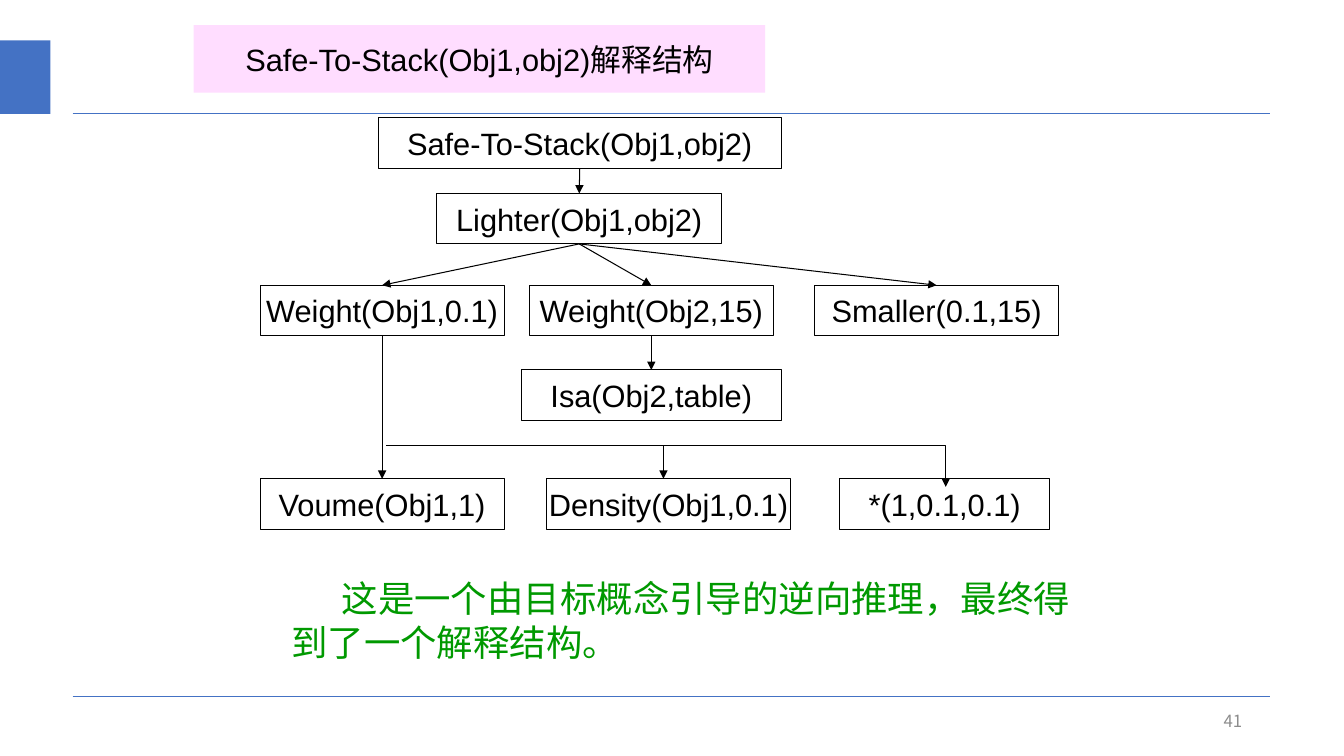
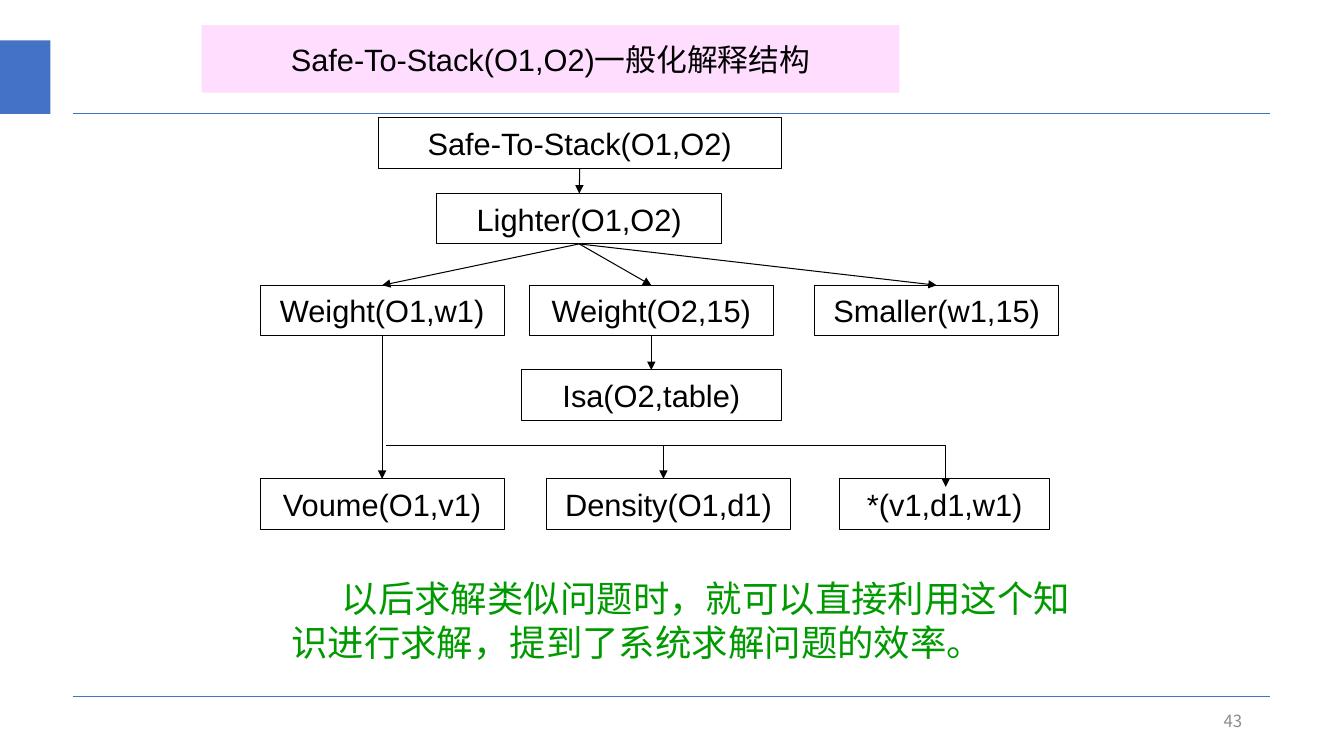
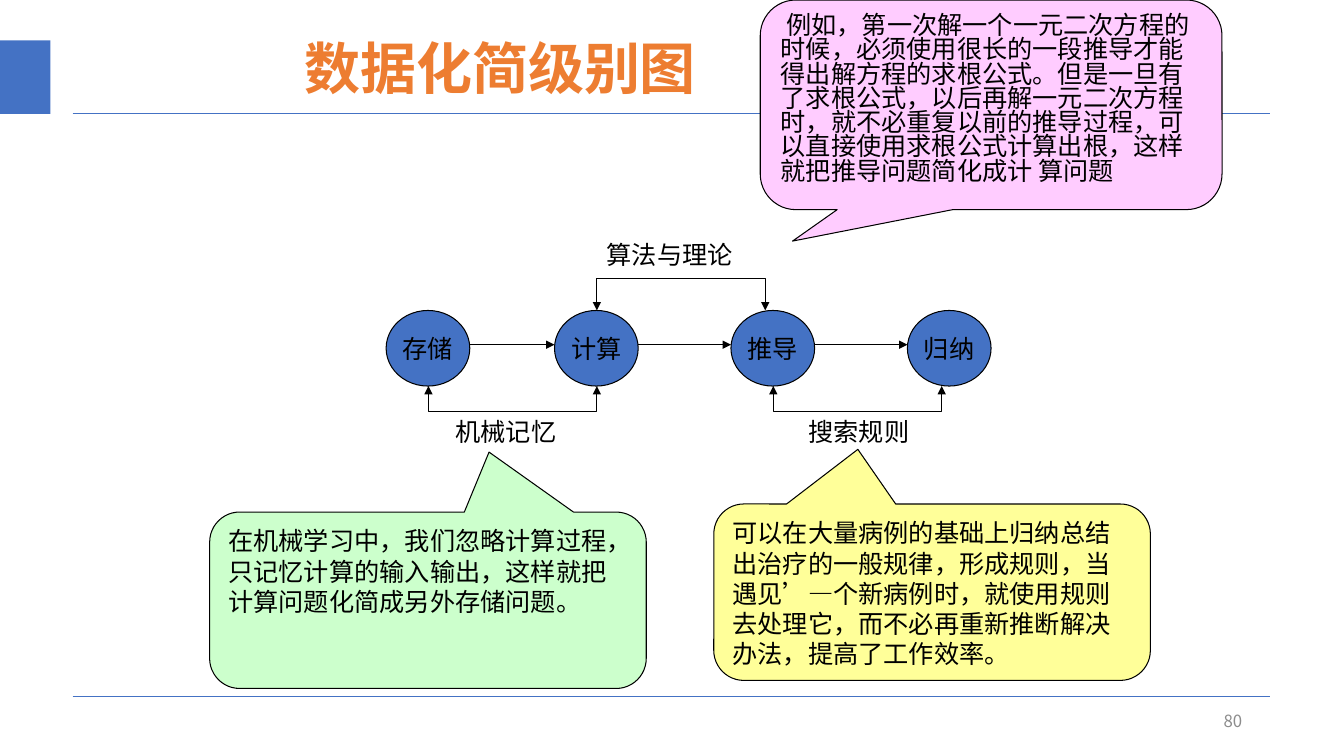
from itertools import pairwise

from lxml.etree import SubElement
from pptx import Presentation
from pptx.dml.color import RGBColor
from pptx.enum.shapes import MSO_CONNECTOR as Connector, MSO_SHAPE as Shape
from pptx.enum.text import MSO_ANCHOR as Anchor, PP_ALIGN as Align
from pptx.oxml.ns import qn
from pptx.util import Inches, Pt

BLUE, BLACK, GREY = "4472C4", "000000", "8C8C8C"
GREEN, ORANGE, PALE_PINK = "009900", "ED7D31", "FFDDFF"
LATIN, CHINESE = "Arial", "Noto Sans CJK SC"

# Text styles: font, frame and paragraph attributes, with the colour apart.
STYLES = {
    "node": {
        "color": BLACK,
        "font": {"name": LATIN, "size": Pt(22)},
        "frame": {"word_wrap": False, "vertical_anchor": Anchor.MIDDLE},
        "paragraph": {"alignment": Align.CENTER},
    },
    "remark": {
        "color": GREEN,
        "font": {"name": LATIN, "size": Pt(26)},
        "frame": {"word_wrap": True},
        "paragraph": {"alignment": Align.LEFT},
    },
    "title": {
        "color": ORANGE,
        "font": {"name": CHINESE, "size": Pt(40), "bold": True},
        "frame": {"word_wrap": True, "vertical_anchor": Anchor.MIDDLE},
        "paragraph": {"alignment": Align.CENTER, "line_spacing": 0.9},
    },
    "circle": {
        "color": BLACK,
        "font": {"name": CHINESE, "size": Pt(18)},
        "frame": {"word_wrap": False, "vertical_anchor": Anchor.MIDDLE},
        "paragraph": {"alignment": Align.CENTER},
    },
    "body": {
        "color": BLACK,
        "font": {"name": CHINESE, "size": Pt(18)},
        "frame": {"word_wrap": True, "vertical_anchor": Anchor.TOP},
        "paragraph": {"alignment": Align.LEFT},
    },
    "number": {
        "color": GREY,
        "font": {"name": CHINESE, "size": Pt(12)},
        "frame": {"word_wrap": True, "vertical_anchor": Anchor.MIDDLE},
        "paragraph": {"alignment": Align.RIGHT},
    },
}

# Explanation tree: left, top and width of each node.
NODE_HEIGHT = 0.5
NODES = {
    "goal": (3.75, 1.17, 4),
    "lighter": (4.33, 1.92, 2.83),
    "weight1": (2.58, 2.83, 2.42),
    "weight2": (5.25, 2.83, 2.42),
    "smaller": (8.08, 2.83, 2.42),
    "isa": (5.17, 3.67, 2.58),
    "volume": (2.58, 4.75, 2.42),
    "density": (5.42, 4.75, 2.42),
    "product": (8.33, 4.75, 2.08),
}
TREE_ARROWS = [
    ("goal", "lighter"),
    ("lighter", "weight1"),
    ("lighter", "weight2"),
    ("lighter", "smaller"),
    ("weight2", "isa"),
    ("weight1", "volume"),
]
TOP_SITE, BOTTOM_SITE = 0, 2

CIRCLE_NAMES = ["存储", "计算", "推导", "归纳"]
CIRCLE_LEFTS = [3.83, 5.5, 7.25, 9]
CIRCLE_TOP, CIRCLE_WIDTH, CIRCLE_HEIGHT = 3.08, 0.83, 0.75


def rgb(color):
    return RGBColor.from_string(color)


def set_attributes(target, values):
    for name, value in values.items():
        setattr(target, name, value)


def write(shape, text, style_name):
    style = STYLES[style_name]
    frame = shape.text_frame
    set_attributes(frame, style["frame"])
    paragraph = frame.paragraphs[0]
    set_attributes(paragraph, style["paragraph"])
    run = paragraph.add_run()
    run.text = text
    set_attributes(run.font, style["font"])
    run.font.color.rgb = rgb(style["color"])
    SubElement(run.font._element, qn("a:ea"), typeface=CHINESE)
    return paragraph


def add_text(slide, box, text, style_name):
    shape = slide.shapes.add_textbox(*map(Inches, box))
    return write(shape, text, style_name)


def paint(shape, fill=None, line=None):
    shape.shadow.inherit = False
    if fill:
        shape.fill.solid()
        shape.fill.fore_color.rgb = rgb(fill)
    else:
        shape.fill.background()
    if line:
        shape.line.color.rgb = rgb(line)
        shape.line.width = Pt(0.75)
    else:
        shape.line.fill.background()


def add_box(slide, kind, box, fill=None, line=None):
    shape = slide.shapes.add_shape(kind, *map(Inches, box))
    paint(shape, fill, line)
    return shape


def add_arrowheads(shape, ends):
    line = shape.element.find(".//" + qn("a:ln"))
    for end in ends:
        SubElement(line, qn(f"a:{end}End"), type="triangle")


def add_line(slide, start, end, color=BLACK, width=0.75, ends=()):
    connector = slide.shapes.add_connector(
        Connector.STRAIGHT, *map(Inches, (*start, *end)))
    connector.line.color.rgb = rgb(color)
    connector.line.width = Pt(width)
    SubElement(connector.element.spPr, qn("a:effectLst"))
    add_arrowheads(connector, ends)
    return connector


def add_bent_line(slide, points, ends):
    """Draw an open line through the points with arrowheads at the ends."""
    start, *others = [tuple(map(Inches, point)) for point in points]
    builder = slide.shapes.build_freeform(*start)
    builder.add_line_segments(others, close=False)
    shape = builder.convert_to_shape()
    paint(shape, line=BLACK)
    add_arrowheads(shape, ends)


def add_callout(slide, box, fill, pointer, text):
    """Pointer is the tip's offset from the centre, in widths and heights."""
    shape = add_box(slide, Shape.ROUNDED_RECTANGULAR_CALLOUT, box, fill, BLACK)
    for index, value in enumerate((*pointer, 0.17)):
        shape.adjustments[index] = value
    return write(shape, text, "body")


def add_base_slide(presentation, number):
    """Add a slide with the shared rules, blue band and page number."""
    slide = presentation.slides.add_slide(presentation.slide_layouts[6])
    for y in (6.91, 1.12):
        add_line(slide, (0.72, y), (12.6, y), BLUE, 0.5)
    add_box(slide, Shape.RECTANGLE, (0, 0.4, 0.5, 0.73), BLUE)
    add_text(slide, (9.42, 6.95, 3, 0.4), str(number), "number")
    return slide


def add_tree(slide, labels):
    nodes = {}
    for (name, (left, top, width)), label in zip(NODES.items(), labels):
        box = (left, top, width, NODE_HEIGHT)
        nodes[name] = add_box(slide, Shape.RECTANGLE, box, line=BLACK)
        write(nodes[name], label, "node")
    for parent, child in TREE_ARROWS:
        arrow = add_line(slide, (0, 0), (1, 1), ends=["tail"])
        arrow.begin_connect(nodes[parent], BOTTOM_SITE)
        arrow.end_connect(nodes[child], TOP_SITE)
    rail = 4.42
    add_bent_line(slide, [(9.38, 4.83), (9.38, rail), (3.83, rail)], ["head"])
    add_line(slide, (6.58, rail), (6.58, 4.75), ends=["tail"])


def add_tree_slide(presentation, number, title, title_span, labels, remark):
    slide = add_base_slide(presentation, number)
    add_tree(slide, labels)
    left, width = title_span
    band = add_box(slide, Shape.RECTANGLE, (left, 0.25, width, 0.67), PALE_PINK)
    write(band, title, "node")
    paragraph = add_text(slide, (2.17, 5.67, 8.83, 0.97), remark, "remark")
    properties = paragraph._p.get_or_add_pPr()
    properties.set("marL", str(Inches(0.62)))
    properties.set("indent", str(Inches(0.5)))


def add_circle_chain(slide):
    for left, name in zip(CIRCLE_LEFTS, CIRCLE_NAMES):
        box = (left, CIRCLE_TOP, CIRCLE_WIDTH, CIRCLE_HEIGHT)
        write(add_box(slide, Shape.OVAL, box, BLUE, BLACK), name, "circle")
    for left, next_left in pairwise(CIRCLE_LEFTS):
        add_line(slide, (left + CIRCLE_WIDTH, 3.42), (next_left, 3.42),
                 ends=["tail"])

    bottom = CIRCLE_TOP + CIRCLE_HEIGHT
    brackets = [
        (4.25, bottom, 4.08, "机械记忆", (4.42, 4.08, 1.42, 0.4)),
        (7.67, bottom, 4.08, "搜索规则", (7.92, 4.08, 1.42, 0.4)),
        (5.92, CIRCLE_TOP, 2.76, "算法与理论", (5.92, 2.33, 1.67, 0.4)),
    ]
    for left, edge, rail, label, box in brackets:
        right = left + 1.67
        points = [(left, edge), (left, rail), (right, rail), (right, edge)]
        add_bent_line(slide, points, ["head", "tail"])
        add_text(slide, box, label, "body")


def add_levels_slide(presentation):
    slide = add_base_slide(presentation, 80)
    add_circle_chain(slide)
    add_callout(
        slide, (7.08, 5, 4.33, 1.75), "FFFF99", (-0.17, -0.81),
        "可以在大量病例的基础上归纳总结出治疗的一般规律，形成规则，"
        "当遇见’—个新病例时，就使用规则去处理它，而不必再重新推断解决办法，"
        "提高了工作效率。")
    add_callout(
        slide, (2.08, 5.08, 4.33, 1.75), "CCFFCC", (0.14, -0.84),
        "在机械学习中，我们忽略计算过程，只记忆计算的输入输出，"
        "这样就把计算问题化简成另外存储问题。")
    add_text(slide, (2.17, 0, 5.58, 1.42), "数据化简级别图", "title")
    example = add_callout(
        slide, (7.54, 0, 4.58, 2.08), "FFCCFF", (-0.43, 0.65),
        " 例如，第一次解一个一元二次方程的时候，必须使用很长的一段推导"
        "才能得出解方程的求根公式。但是一旦有了求根公式，以后再解一元二次方程时，"
        "就不必重复以前的推导过程，可以直接使用求根公式计算出根，"
        "这样就把推导问题简化成计 算问题")
    example.line_spacing = 0.8


def main():
    presentation = Presentation()
    presentation.slide_width = Inches(13.33)
    presentation.slide_height = Inches(7.5)
    add_tree_slide(
        presentation, 41, "Safe-To-Stack(Obj1,obj2)解释结构", (1.92, 5.67),
        ["Safe-To-Stack(Obj1,obj2)", "Lighter(Obj1,obj2)",
         "Weight(Obj1,0.1)", "Weight(Obj2,15)", "Smaller(0.1,15)",
         "Isa(Obj2,table)",
         "Voume(Obj1,1)", "Density(Obj1,0.1)", "*(1,0.1,0.1)"],
        "这是一个由目标概念引导的逆向推理，最终得到了一个解释结构。")
    add_tree_slide(
        presentation, 43, "Safe-To-Stack(O1,O2)一般化解释结构", (2, 6.92),
        ["Safe-To-Stack(O1,O2)", "Lighter(O1,O2)",
         "Weight(O1,w1)", "Weight(O2,15)", "Smaller(w1,15)",
         "Isa(O2,table)",
         "Voume(O1,v1)", "Density(O1,d1)", "*(v1,d1,w1)"],
        "以后求解类似问题时，就可以直接利用这个知识进行求解，"
        "提到了系统求解问题的效率。")
    add_levels_slide(presentation)
    presentation.save("out.pptx")


if __name__ == "__main__":
    main()
